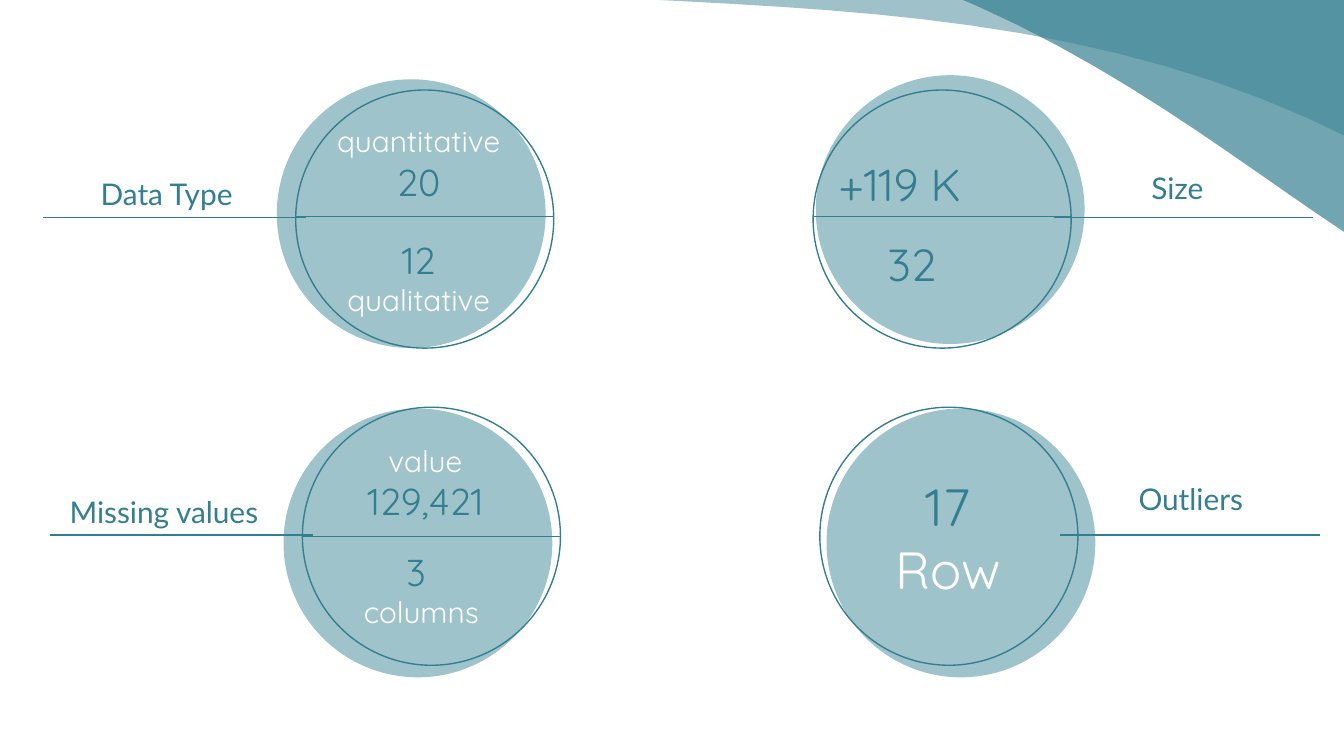
from lxml.etree import SubElement
from pptx import Presentation
from pptx.dml.color import RGBColor
from pptx.enum.shapes import MSO_CONNECTOR, MSO_SHAPE
from pptx.enum.text import MSO_ANCHOR, PP_ALIGN
from pptx.oxml.ns import qn
from pptx.util import Inches, Pt

TEAL, PALE, WHITE = "337E90", "9FC3CB", "FFFFFF"
SLIDE_W, SLIDE_H = Inches(10), Inches(5.625)
COLUMNS = 100
RING, DISC = 19.2, 20

PANELS = [
    dict(col=0, row=0, disc=(-1.4, -0.8), rule=(-18.8, 0.8), mid=9.4,
         label=("Data Type", -19.2, 5.4), texts=[
             (2, 2.3, 14.3, [[("quantitative", 16, WHITE)], [("20", 20, TEAL)]]),
             (2, 10.8, 14.3, [[("12", 20, TEAL), (" ", 16, TEAL),
                               ("qualitative", 16, WHITE)]])]),
    dict(col=1, row=0, disc=(0.2, -1.1), rule=(17.9, 37.2), mid=9.4,
         label=("Size", 17.5, 4.9), texts=[
             (-0.7, 3.8, 14.3, [[("+119 K", 24, TEAL)]]),
             (0.2, 9.8, 14.3, [[("32", 24, TEAL)]])]),
    dict(col=0, row=1, disc=(-1.4, 0.1), rule=(-18.8, 0.8), mid=9.6,
         label=("Missing values", -19.9, 5.4), texts=[
             (1.1, 2.5, 16.1, [[("value", 16, WHITE)], [("129,421", 20, TEAL)]]),
             (0.8, 10.4, 16.1, [[("3 ", 20, TEAL)], [("columns", 16, WHITE)]])]),
    dict(col=1, row=1, disc=(0.5, 0.1), rule=(17.9, 37.2), mid=None,
         label=("Outliers", 18, 4.5), texts=[
             (2.4, 6.5, 14.3, [[("17", 28, TEAL)], [("Row", 28, WHITE)]])]),
]


def color(hex_string):
    """Turn a hex string into a colour."""
    return RGBColor.from_string(hex_string)


def grid(*units):
    """Convert grid columns to slide lengths."""
    return [round(u * SLIDE_W / COLUMNS) for u in units]


def add_circle(s, x, y, size, fill=None):
    """Add a filled disc, or an outlined ring when no fill is given."""
    sp = s.shapes.add_shape(MSO_SHAPE.OVAL, *grid(x, y, size, size))
    sp.shadow.inherit = False
    if fill:
        sp.fill.solid()
        sp.fill.fore_color.rgb = color(fill)
        sp.line.fill.background()
    else:
        sp.fill.background()
        sp.line.color.rgb = color(TEAL)
        sp.line.width = Pt(0.75)


def add_rule(s, x1, x2, y):
    """Add a thin horizontal line."""
    line = s.shapes.add_connector(MSO_CONNECTOR.STRAIGHT, *grid(x1, y, x2, y))
    line.line.color.rgb = color(TEAL)
    line.line.width = Pt(0.75)
    SubElement(line._element.spPr, qn("a:effectLst"))


def add_text(s, box, paragraphs, font="Quicksand", anchor=MSO_ANCHOR.MIDDLE):
    """Add centred paragraphs made of (text, size, colour) runs."""
    tf = s.shapes.add_textbox(*grid(*box)).text_frame
    tf.word_wrap = True
    tf.vertical_anchor = anchor
    tf.margin_left = tf.margin_right = tf.margin_top = tf.margin_bottom = Inches(0.1)
    for i, runs in enumerate(paragraphs):
        p = tf.add_paragraph() if i else tf.paragraphs[0]
        p.alignment = PP_ALIGN.CENTER
        for text, size, tint in runs:
            r = p.add_run()
            r.text = text
            r.font.name = font
            r.font.size = Pt(size)
            r.font.color.rgb = color(tint)


def add_panel(s, x, y, panel):
    """Place a medallion, its label and its figures from the ring's corner."""
    dx, dy = panel["disc"]
    add_circle(s, x + dx, y + dy, DISC, PALE)
    start, end = panel["rule"]
    add_rule(s, x + start, x + end, y + 9.5)
    add_circle(s, x, y, RING)
    name, dx, dy = panel["label"]
    add_text(s, (x + dx, y + dy, 19.2, 9.3), [[(name, 16, TEAL)]], "Lato", MSO_ANCHOR.TOP)
    if panel["mid"]:
        add_rule(s, x, x + RING, y + panel["mid"])
    for dx, dy, width, paragraphs in panel["texts"]:
        add_text(s, (x + dx, y + dy, width, 6.3), paragraphs)


def bezier(a, b, c, d, steps=32):
    """List points along a cubic curve, without its start."""
    ts = [i / steps for i in range(1, steps + 1)]
    return [tuple((1 - t) ** 3 * p + 3 * (1 - t) ** 2 * t * q
                  + 3 * (1 - t) * t ** 2 * u + t ** 3 * v
                  for p, q, u, v in zip(a, b, c, d)) for t in ts]


def add_sweep(s, points, opacity):
    """Add a translucent corner shape through the given grid points."""
    start, *rest = [grid(*point) for point in points]
    builder = s.shapes.build_freeform(*start, scale=1.0)
    builder.add_line_segments(rest, close=True)
    sp = builder.convert_to_shape()
    sp.shadow.inherit = False
    sp.line.fill.background()
    sp.fill.solid()
    sp.fill.fore_color.rgb = color(TEAL)
    tint = sp._element.spPr.find(qn("a:solidFill"))[0]
    SubElement(tint, qn("a:alpha"), val=str(opacity * 1000))


def add_corner(s):
    """Draw the two overlapping sweeps in the top right corner."""
    tip, edge = (5.4, -8.7), (114.7, 19.6)
    add_sweep(s, [tip, (110.3, -20.1), edge,
                  *bezier(edge, (78.2, -10.4), (36.4, 8.1), tip)], 47)
    foot, tail = (122, 24.8), (26.8, -6.4)
    add_sweep(s, [(124.9, 24.3), foot,
                  *bezier(foot, (96.7, 26.9), (84.8, -11.3), tail),
                  (121.6, -14.5)], 69)


def main():
    """Build the slide and save it."""
    prs = Presentation()
    prs.slide_width, prs.slide_height = SLIDE_W, SLIDE_H
    s = prs.slides.add_slide(prs.slide_layouts[6])
    add_corner(s)
    for panel in PANELS:
        col, row = panel["col"], panel["row"]
        add_panel(s, 22 + 38.5 * col + 0.5 * row, 6.7 + 23.6 * row, panel)
    prs.save("out.pptx")


if __name__ == "__main__":
    main()
